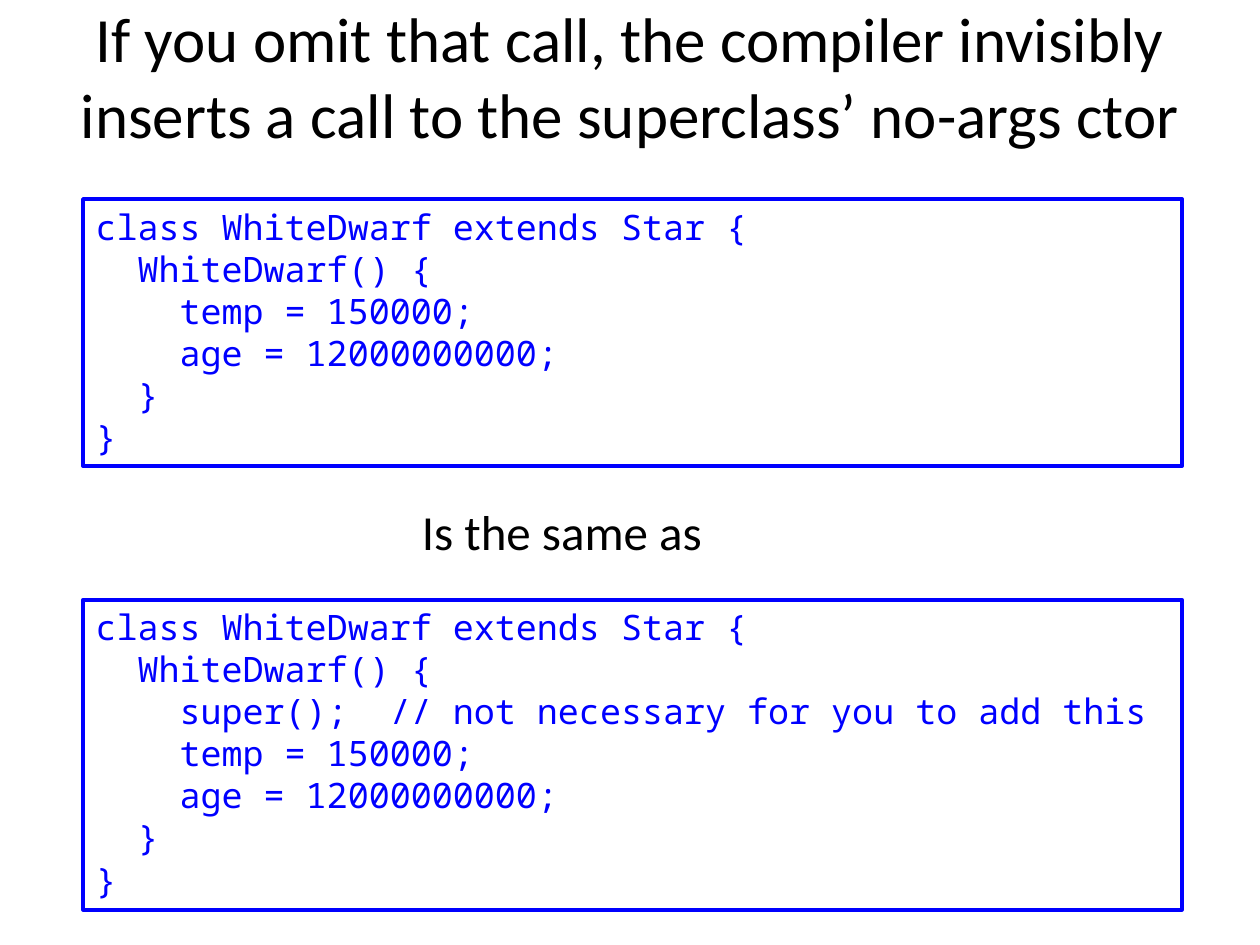
from pptx import Presentation
from pptx.dml.color import RGBColor
from pptx.enum.shapes import MSO_SHAPE
from pptx.enum.text import MSO_ANCHOR, MSO_AUTO_SIZE, PP_ALIGN
from pptx.util import Inches, Pt

BLACK = RGBColor(0x00, 0x00, 0x00)
CODE_BLUE = RGBColor(0x00, 0x00, 0xFF)
TEXT_FONT = "Calibri"
CODE_FONT = "Noto Sans Mono"

CONSTRUCTOR_START = ["class WhiteDwarf extends Star {", "  WhiteDwarf() {"]
SUPER_CALL = ["    super();  // not necessary for you to add this"]
CONSTRUCTOR_END = ["    temp = 150000;", "    age = 12000000000;", "  }", "}"]


def write_text(frame, text, font, size, color, align=PP_ALIGN.LEFT):
    """Fill a text frame and give all its runs one format."""
    frame.text = text
    for paragraph in frame.paragraphs:
        paragraph.alignment = align
        for run in paragraph.runs:
            run.font.name = font
            run.font.size = Pt(size)
            run.font.color.rgb = color


def add_title(slide, left, top, width, height):
    """Place the centred slide title in the given box."""
    title = slide.shapes.add_textbox(left, top, width, height)
    frame = title.text_frame
    frame.word_wrap = True
    frame.vertical_anchor = MSO_ANCHOR.MIDDLE
    write_text(
        frame,
        "If you omit that call, the compiler invisibly "
        "inserts a call to the superclass’ no-args ctor",
        TEXT_FONT, 36, BLACK, PP_ALIGN.CENTER,
    )


def add_code_box(slide, left, top, width, height, lines):
    """Place a blue-framed code listing in the given box."""
    listing = slide.shapes.add_shape(MSO_SHAPE.RECTANGLE, left, top, width, height)
    listing.shadow.inherit = False
    listing.fill.background()
    listing.line.color.rgb = CODE_BLUE
    listing.line.width = Pt(2.25)
    frame = listing.text_frame
    frame.word_wrap = True
    frame.auto_size = MSO_AUTO_SIZE.SHAPE_TO_FIT_TEXT
    frame.vertical_anchor = MSO_ANCHOR.TOP
    write_text(frame, "\n".join(lines), CODE_FONT, 20, CODE_BLUE)


def add_comparison(slide, left, top, width, height):
    """Place the link phrase between the two listings."""
    comparison = slide.shapes.add_textbox(left, top, width, height)
    frame = comparison.text_frame
    frame.word_wrap = False
    frame.auto_size = MSO_AUTO_SIZE.SHAPE_TO_FIT_TEXT
    write_text(frame, "Is the same as", TEXT_FONT, 28, BLACK)


def main():
    """Build and save the slide."""
    presentation = Presentation()
    presentation.slide_width = Inches(10)
    presentation.slide_height = Inches(7.5)
    slide = presentation.slides.add_slide(presentation.slide_layouts[6])

    add_title(slide, Inches(0), Inches(-0.03), Inches(10), Inches(1.25))
    code_left, code_width = Inches(0.66), Inches(8.72)
    add_code_box(slide, code_left, Inches(1.58), code_width, Inches(2.12),
                 CONSTRUCTOR_START + CONSTRUCTOR_END)
    add_code_box(slide, code_left, Inches(4.76), code_width, Inches(2.46),
                 CONSTRUCTOR_START + SUPER_CALL + CONSTRUCTOR_END)
    add_comparison(slide, Inches(3.25), Inches(3.93), Inches(2.45), Inches(0.57))

    presentation.save("out.pptx")


if __name__ == "__main__":
    main()
